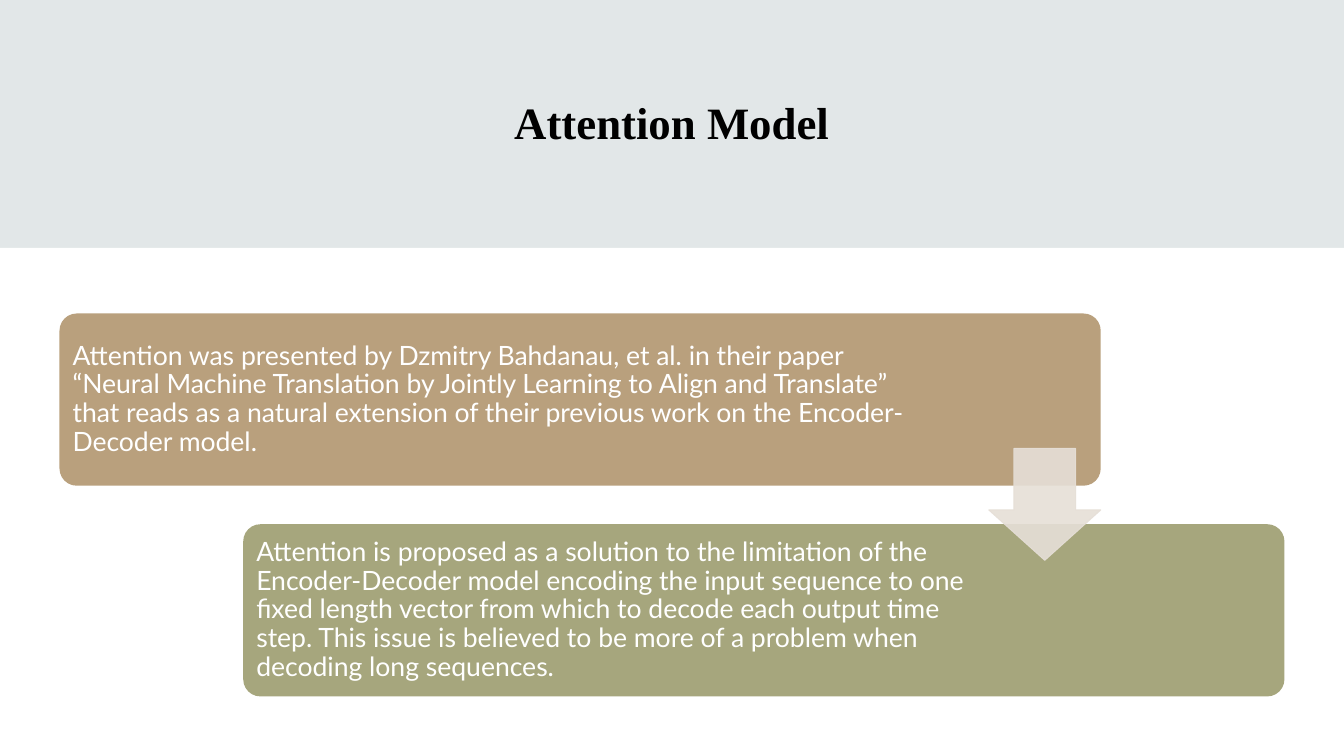
from dataclasses import dataclass

from lxml import etree
from pptx import Presentation
from pptx.dml.color import RGBColor
from pptx.enum.shapes import MSO_SHAPE
from pptx.enum.text import MSO_ANCHOR, PP_ALIGN
from pptx.oxml.ns import qn
from pptx.util import Cm, Pt

RECTANGLE = MSO_SHAPE.RECTANGLE
ROUNDED = MSO_SHAPE.ROUNDED_RECTANGLE
DOWN_ARROW = MSO_SHAPE.DOWN_ARROW
MIDDLE = MSO_ANCHOR.MIDDLE
CENTER = PP_ALIGN.CENTER
LEFT = PP_ALIGN.LEFT
TITLE_ONLY = 5


@dataclass(frozen=True)
class Theme:
    band: RGBColor = RGBColor(0xE2, 0xE7, 0xE8)
    panel: RGBColor = RGBColor(0xFF, 0xFF, 0xFF)
    origin: RGBColor = RGBColor(0xB9, 0xA0, 0x7D)
    purpose: RGBColor = RGBColor(0xA6, 0xA6, 0x7D)
    arrow: RGBColor = RGBColor(0xE6, 0xDF, 0xD7)
    title_ink: RGBColor = RGBColor(0x00, 0x00, 0x00)
    step_ink: RGBColor = RGBColor(0xFF, 0xFF, 0xFF)
    title_font: str = "Times New Roman"
    step_font: str = "Lato"
    title_size: Pt = Pt(32)
    step_size: Pt = Pt(19)


THEME = Theme()
SLIDE_WIDTH, SLIDE_HEIGHT = Cm(33.87), Cm(19.05)
PANEL_TOP = Cm(6.25)
STEP_WIDTH, STEP_HEIGHT = Cm(26.24), Cm(4.34)
STEP_LEFT, STEP_TOP = Cm(1.5), Cm(7.9)
STEP_SHIFT, STEP_PITCH = Cm(4.63), Cm(5.31)
STEP_PADDING, TEXT_INSET = Cm(0.13), Cm(0.2)
ARROW_SIZE, ARROW_TOP = Cm(2.82), Cm(11.3)

STEPS = (
    (
        "Attention was presented by Dzmitry Bahdanau, et al. in their paper "
        "“Neural Machine Translation by Jointly Learning to Align and Translate” "
        "that reads as a natural extension of their previous work on the "
        "Encoder-Decoder model.",
        THEME.origin,
        Cm(21.74),
    ),
    (
        "Attention is proposed as a solution to the limitation of the "
        "Encoder-Decoder model encoding the input sequence to one fixed length "
        "vector from which to decode each output time step. This issue is "
        "believed to be more of a problem when decoding long sequences.",
        THEME.purpose,
        Cm(18.52),
    ),
)


def style_font(font, name, size, color, bold=False):
    font.name = name
    font.size = size
    font.bold = bold
    font.color.rgb = color


def add_block(slide, preset, left, top, width, height, color, adjustments=()):
    block = slide.shapes.add_shape(preset, left, top, width, height)
    block.shadow.inherit = False
    block.fill.solid()
    block.fill.fore_color.rgb = color
    block.line.fill.background()
    for index, value in enumerate(adjustments):
        block.adjustments[index] = value
    return block


def add_title(slide, wording):
    title = slide.shapes.title
    title.left, title.top = Cm(3), Cm(1.5)
    title.width, title.height = Cm(27.86), Cm(3.12)
    frame = title.text_frame
    frame.text = wording
    frame.vertical_anchor = MIDDLE
    heading = frame.paragraphs[0]
    heading.alignment = CENTER
    style_font(heading.runs[0].font, THEME.title_font, THEME.title_size,
               THEME.title_ink, bold=True)


def add_step(slide, left, top, wording, color, text_width):
    add_block(slide, ROUNDED, left, top, STEP_WIDTH, STEP_HEIGHT, color, (0.1,))
    caption = slide.shapes.add_textbox(
        left + STEP_PADDING, top + STEP_PADDING,
        text_width, STEP_HEIGHT - 2 * STEP_PADDING)
    frame = caption.text_frame
    frame.word_wrap = True
    frame.vertical_anchor = MIDDLE
    frame.margin_left = frame.margin_right = TEXT_INSET
    frame.margin_top = frame.margin_bottom = TEXT_INSET
    frame.text = wording
    statement = frame.paragraphs[0]
    statement.alignment = LEFT
    statement.line_spacing = 0.9
    style_font(statement.runs[0].font, THEME.step_font, THEME.step_size,
               THEME.step_ink)


def add_arrow(slide, left, top):
    arrow = add_block(slide, DOWN_ARROW, left, top, ARROW_SIZE, ARROW_SIZE,
                      THEME.arrow, (0.55, 0.45))
    arrow.line.color.rgb = THEME.arrow
    arrow.line.width = Pt(0.75)
    for color in arrow.element.spPr.iter(qn("a:srgbClr")):
        etree.SubElement(color, qn("a:alpha"), val="90000")


def main():
    deck = Presentation()
    deck.slide_width, deck.slide_height = SLIDE_WIDTH, SLIDE_HEIGHT
    slide = deck.slides.add_slide(deck.slide_layouts[TITLE_ONLY])
    slide.background.fill.solid()
    slide.background.fill.fore_color.rgb = THEME.band

    add_title(slide, "Attention Model")
    add_block(slide, RECTANGLE, 0, PANEL_TOP, SLIDE_WIDTH,
              SLIDE_HEIGHT - PANEL_TOP, THEME.panel)
    for index, step in enumerate(STEPS):
        add_step(slide, STEP_LEFT + index * STEP_SHIFT,
                 STEP_TOP + index * STEP_PITCH, *step)
    add_arrow(slide, STEP_LEFT + STEP_WIDTH - ARROW_SIZE, ARROW_TOP)

    deck.save("out.pptx")


if __name__ == "__main__":
    main()
